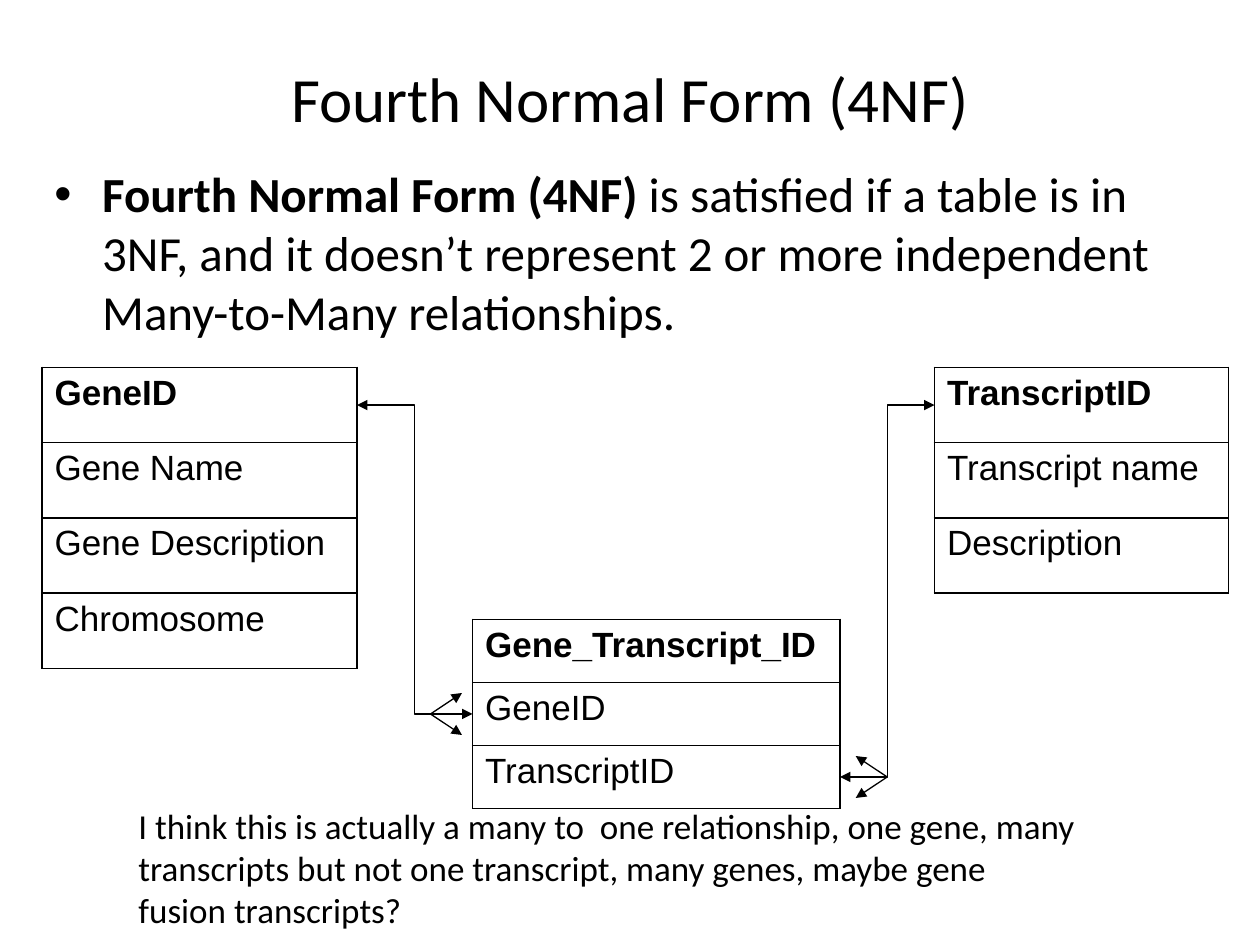
from dataclasses import dataclass

from lxml import etree
from pptx import Presentation
from pptx import util as u
from pptx.dml.color import RGBColor
from pptx.enum import shapes, text
from pptx.oxml import ns


@dataclass(frozen=True)
class Theme:
    ink: RGBColor = RGBColor(0, 0, 0)
    font: str = "Calibri"
    table_font: str = "Arial"
    title: int = 36
    body: int = 28
    small: int = 20
    line: float = 0.75
    border: float = 1
    indent: float = 0.38


def add_xml(parent, tag, **attrs):
    return etree.SubElement(parent, ns.qn(tag), attrs)


class SlideBuilder:
    """Places elements on a grid of 120 columns by 90 rows."""

    def __init__(self, prs, theme):
        self.theme = theme
        self.col = prs.slide_width / 120
        self.row = prs.slide_height / 90
        self.s = prs.slides.add_slide(prs.slide_layouts[5])

    def at(self, x, y):
        return round(x * self.col), round(y * self.row)

    def box(self, x, y, w, h):
        return *self.at(x, y), *self.at(w, h)

    def style(self, r, size, font=None, bold=False):
        r.font.size = u.Pt(size)
        r.font.name = font or self.theme.font
        r.font.bold = bold
        r.font.color.rgb = self.theme.ink

    def hang(self, p):
        pPr = p._p.get_or_add_pPr()
        pPr.set("marL", str(u.Inches(self.theme.indent)))
        pPr.set("indent", str(-u.Inches(self.theme.indent)))
        return pPr

    def title(self, words, *box):
        sp = self.s.shapes.title
        sp.left, sp.top, sp.width, sp.height = self.box(*box)
        tf = sp.text_frame
        tf.text = words
        tf.vertical_anchor = text.MSO_ANCHOR.MIDDLE
        p = tf.paragraphs[0]
        p.alignment = text.PP_ALIGN.CENTER
        self.style(p.runs[0], self.theme.title)

    def text(self, parts, size, *box, bullet=False):
        """Write one paragraph from (words, bold) parts."""
        tf = self.s.shapes.add_textbox(*self.box(*box)).text_frame
        tf.word_wrap = True
        p = tf.paragraphs[0]
        for words, bold in parts:
            r = p.add_run()
            r.text = words
            self.style(r, size, bold=bold)
        if bullet:
            pPr = self.hang(p)
            add_xml(pPr, "a:buFont", typeface="Arial")
            add_xml(pPr, "a:buChar", char="•")

    def table(self, fields, x, y, w, row_h):
        """Draw an entity whose first field is its key."""
        n = len(fields)
        frame = self.s.shapes.add_table(n, 1, *self.box(x, y, w, n * row_h))
        table = frame.table
        table.first_row = table.horz_banding = False
        for i, field in enumerate(fields):
            cell = table.cell(i, 0)
            cell.text = field
            p = cell.text_frame.paragraphs[0]
            self.hang(p)
            self.style(p.runs[0], self.theme.small, self.theme.table_font, i == 0)
            self.borders(cell)
            cell.fill.background()

    def borders(self, cell):
        tcPr = cell._tc.get_or_add_tcPr()
        for side in ("a:lnL", "a:lnR", "a:lnT", "a:lnB"):
            ln = add_xml(tcPr, side, w=str(u.Pt(self.theme.border)))
            fill = add_xml(ln, "a:solidFill")
            add_xml(fill, "a:srgbClr", val=str(self.theme.ink))

    def arrow(self, start, end, elbow=False):
        """Draw an arrow; an elbow carries a head at both ends."""
        kind = shapes.MSO_CONNECTOR.ELBOW if elbow else shapes.MSO_CONNECTOR.STRAIGHT
        sp = self.s.shapes.add_connector(kind, *self.at(*start), *self.at(*end))
        sp.line.color.rgb = self.theme.ink
        sp.line.width = u.Pt(self.theme.line)
        ln = sp.line._get_or_add_ln()
        for tag in ("a:headEnd", "a:tailEnd") if elbow else ("a:tailEnd",):
            add_xml(ln, tag, type="triangle")
        add_xml(sp._element.spPr, "a:effectLst")

    def fork(self, x, y, reach):
        """Mark the 'many' side with two arrows spreading from one point."""
        for dy in (-2, 2):
            self.arrow((x, y), (x + reach, y + dy))


def main():
    prs = Presentation()
    prs.slide_width, prs.slide_height = u.Inches(10), u.Inches(7.5)
    theme = Theme()
    b = SlideBuilder(prs, theme)

    # Title and definition
    b.title("Fourth Normal Form (4NF)", 6, 3.6, 108, 11.4)
    b.text([("Fourth Normal Form (4NF)", True),
            (" is satisfied if a table is in 3NF, and it doesn’t represent "
             "2 or more independent Many-to-Many relationships.", False)],
           theme.body, 4, 15, 109, 20, bullet=True)

    # Entities and the table that joins them
    top, row_h = 35, 7.17
    join_x, join_y, join_w, join_h = 45, 59, 35, 6
    b.table(["GeneID", "Gene Name", "Gene Description", "Chromosome"],
            4, top, 30, row_h)
    b.table(["TranscriptID", "Transcript name", "Description"],
            89, top, 28, row_h)
    b.table(["Gene_Transcript_ID", "GeneID", "TranscriptID"],
            join_x, join_y, join_w, join_h)

    # Relationships, from each key to the middle of its row in the join table
    key_y = top + row_h / 2
    gene_y, transcript_y = (join_y + join_h * (i + 0.5) for i in (1, 2))
    b.arrow((34, key_y), (join_x, gene_y), elbow=True)
    b.arrow((89, key_y), (join_x + join_w, transcript_y), elbow=True)
    b.fork(84.5, transcript_y, -3)
    b.fork(41, gene_y, 3)

    # Comment
    b.text([("I think this is actually a many to  one relationship, one gene, "
             "many transcripts but not one transcript, many genes, maybe gene "
             "fusion transcripts?", False)], theme.small, 12, 76, 92, 13.3)

    prs.save("out.pptx")


if __name__ == "__main__":
    main()
